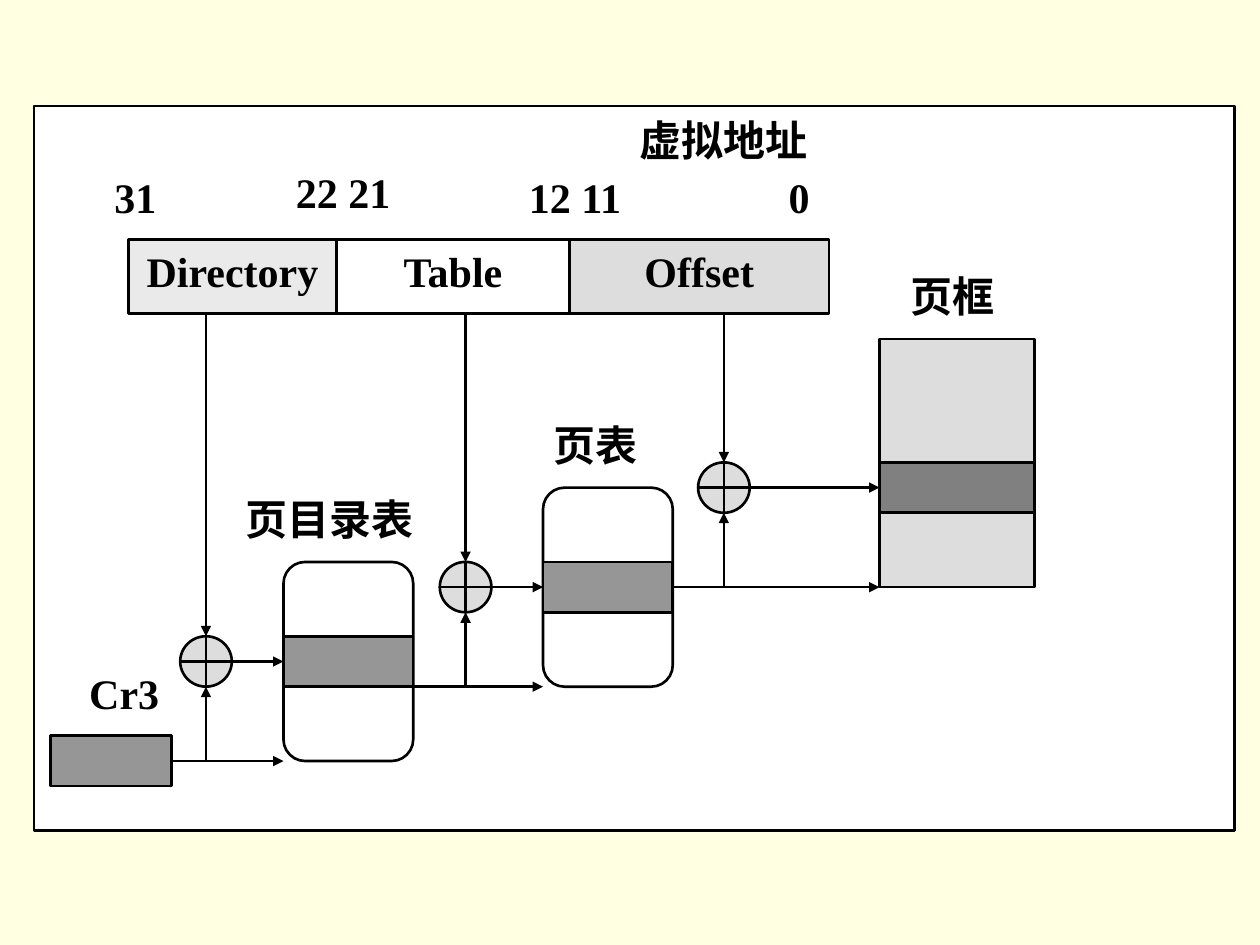
from lxml import etree
from pptx import Presentation
from pptx.dml.color import RGBColor
from pptx.enum import shapes as kinds, text
from pptx.oxml import ns
from pptx.util import Inches, Pt

BLACK = RGBColor(0x00, 0x00, 0x00)
WHITE = RGBColor(0xFF, 0xFF, 0xFF)
CREAM = RGBColor(0xFF, 0xFF, 0xE1)
PALE_GRAY = RGBColor(0xEA, 0xEA, 0xEA)
LIGHT_GRAY = RGBColor(0xDD, 0xDD, 0xDD)
MID_GRAY = RGBColor(0x96, 0x96, 0x96)
DARK_GRAY = RGBColor(0x80, 0x80, 0x80)
FONT = "Times New Roman"
KIND = kinds.MSO_SHAPE
ALIGN = text.PP_ALIGN
ENTRY_HEIGHT = 0.4
ADDER_WIDTH = 0.41


def add_box(slide, box, fill, kind=KIND.RECTANGLE, outlined=True):
    """Add a filled shape in a box of inches (left, top, width, height)."""
    shape = slide.shapes.add_shape(kind, *map(Inches, box))
    shape.shadow.inherit = False
    shape.fill.solid()
    shape.fill.fore_color.rgb = fill
    if outlined:
        shape.line.color.rgb = BLACK
        shape.line.width = Pt(1.5)
    else:
        shape.line.fill.background()
    return shape


def write(shape, wording, alignment=ALIGN.CENTER, margins=(0.1, 0.05)):
    """Put one bold line of text at the top of a shape."""
    frame = shape.text_frame
    frame.word_wrap = True
    frame.vertical_anchor = text.MSO_ANCHOR.TOP
    frame.margin_left = frame.margin_right = Inches(margins[0])
    frame.margin_top = frame.margin_bottom = Inches(margins[1])
    paragraph = frame.paragraphs[0]
    paragraph.text = wording
    paragraph.alignment = alignment
    paragraph.font.name = FONT
    paragraph.font.size = Pt(24)
    paragraph.font.bold = True
    paragraph.font.color.rgb = BLACK


def add_label(slide, box, wording, alignment=ALIGN.JUSTIFY, margins=(0.1, 0.05)):
    """Add a caption on a white background."""
    write(add_box(slide, box, WHITE, outlined=False), wording, alignment, margins)


def add_arrow(slide, start, end):
    """Add a straight arrow between two points in inches."""
    arrow = slide.shapes.add_connector(
        kinds.MSO_CONNECTOR.STRAIGHT, *map(Inches, (*start, *end)))
    arrow.line.color.rgb = BLACK
    arrow.line.width = Pt(1.5)
    line = arrow.line._get_or_add_ln()
    etree.SubElement(line, ns.qn("a:tailEnd"), type="triangle")
    etree.SubElement(arrow._element.spPr, ns.qn("a:effectLst"))
    return arrow


def add_address(slide, box):
    """Draw the virtual address fields with their title and bit numbers."""
    left, top, _, height = box
    add_label(slide, (left + 3.74, top - 0.99, 1.96, 0.43), "虚拟地址",
              ALIGN.CENTER, (0.02, 0))
    bits = [("31", -0.21, 0.62, 0.59), ("22 21", 1.23, 1.03, 0.63),
            ("12 11", 3.08, 1.03, 0.59), ("0", 5.14, 0.62, 0.59)]
    for wording, offset, width, rise in bits:
        add_label(slide, (left + offset, top - rise, width, 0.56), wording)
    fields = [("Offset", 3.5, 2.06, LIGHT_GRAY), ("Table", 1.65, 1.85, WHITE),
              ("Directory", 0, 1.65, PALE_GRAY)]
    for wording, offset, width, fill in fields:
        write(add_box(slide, (left + offset, top, width, height), fill), wording)


def add_register(slide, box):
    """Draw the Cr3 register and its caption."""
    left, top, _, _ = box
    add_label(slide, (left + 0.21, top - 0.59, 0.82, 0.59), "Cr3")
    return add_box(slide, box, MID_GRAY)


def add_stage(slide, box, kind, fills, entry_offset, adder_left, source, address_bottom):
    """Draw a lookup table, its adder and the arrows into it; return the entry."""
    left, top, width, height = box
    base = top + height
    entry_top = top + entry_offset
    entry_middle = entry_top + ENTRY_HEIGHT / 2
    adder_middle = adder_left + ADDER_WIDTH / 2
    add_box(slide, box, fills[0], kind)
    entry = add_box(slide, (left, entry_top, width, ENTRY_HEIGHT), fills[1])
    add_box(slide, (adder_left, entry_top, ADDER_WIDTH, ENTRY_HEIGHT),
            LIGHT_GRAY, KIND.FLOWCHART_OR)

    source_right = (source.left + source.width) / Inches(1)
    source_middle = (source.top + source.height / 2) / Inches(1)
    base_arrow = add_arrow(slide, (source_right, base), (left, base))
    if abs(source_middle - base) < 0.01:
        base_arrow.begin_connect(source, 3)
    add_arrow(slide, (adder_middle, base), (adder_middle, entry_top + ENTRY_HEIGHT))
    add_arrow(slide, (adder_middle, address_bottom), (adder_middle, entry_top))
    index_arrow = add_arrow(slide, (adder_left + ADDER_WIDTH, entry_middle),
                            (left, entry_middle))
    index_arrow.end_connect(entry, 1)
    return entry


def main():
    """Build the page translation slide."""
    presentation = Presentation()
    presentation.slide_width, presentation.slide_height = Inches(10), Inches(7.5)
    slide = presentation.slides.add_slide(presentation.slide_layouts[6])
    slide.background.fill.solid()
    slide.background.fill.fore_color.rgb = CREAM

    add_box(slide, (0.27, 0.84, 9.53, 5.75), WHITE)
    address = (1.02, 1.9, 5.56, 0.59)
    address_bottom = address[1] + address[3]
    add_address(slide, address)
    add_label(slide, (1.85, 3.87, 1.57, 0.63), "页目录表")
    add_label(slide, (3.98, 3.28, 1.5, 0.63), "页表", ALIGN.CENTER)
    add_label(slide, (7.13, 2.1, 1.18, 0.59), "页框")

    source = add_register(slide, (0.4, 5.84, 0.96, ENTRY_HEIGHT))
    rounded = KIND.FLOWCHART_ALTERNATE_PROCESS
    stages = [
        ((2.25, 4.46, 1.03, 1.58), rounded, (WHITE, MID_GRAY), 0.59, 1.43),
        ((4.31, 3.87, 1.03, 1.58), rounded, (WHITE, MID_GRAY), 0.59, 3.49),
        ((6.98, 2.69, 1.23, 1.97), KIND.RECTANGLE, (LIGHT_GRAY, DARK_GRAY), 0.98, 5.54),
    ]
    for stage in stages:
        source = add_stage(slide, *stage, source, address_bottom)

    presentation.save("out.pptx")


if __name__ == "__main__":
    main()
